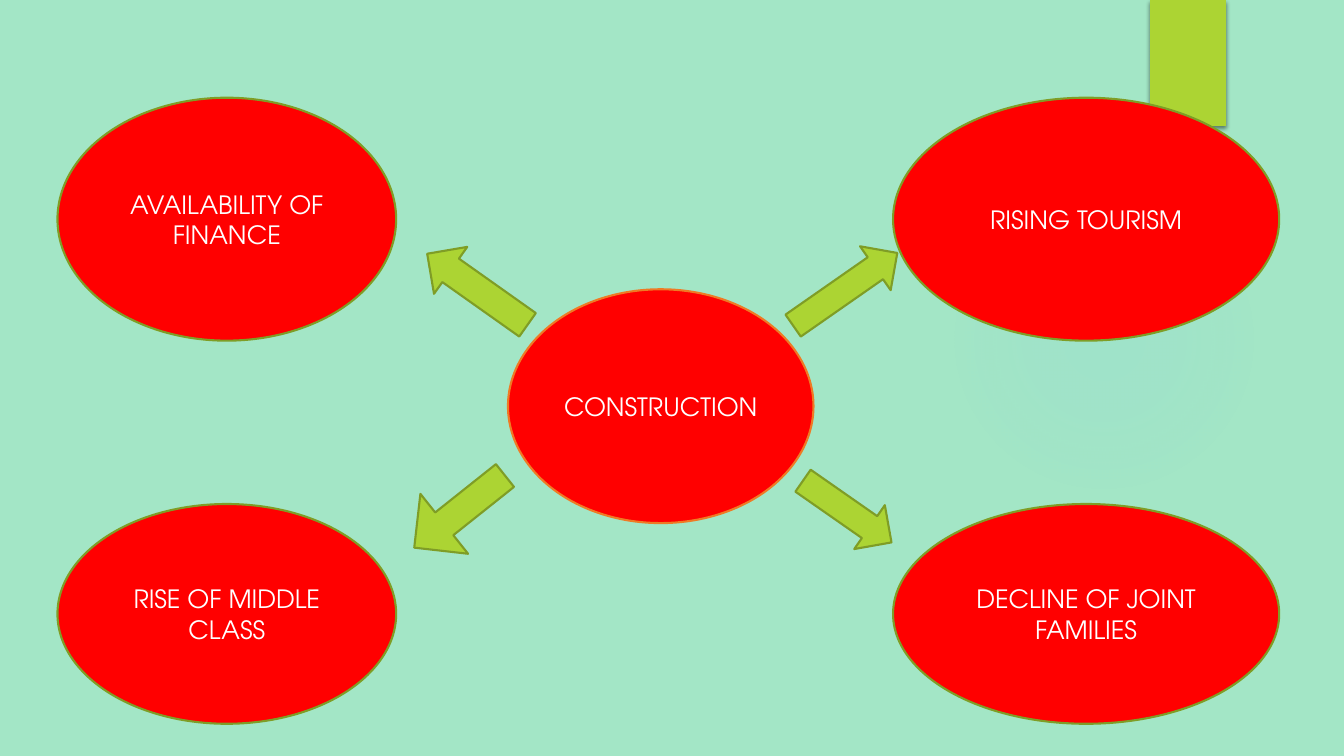
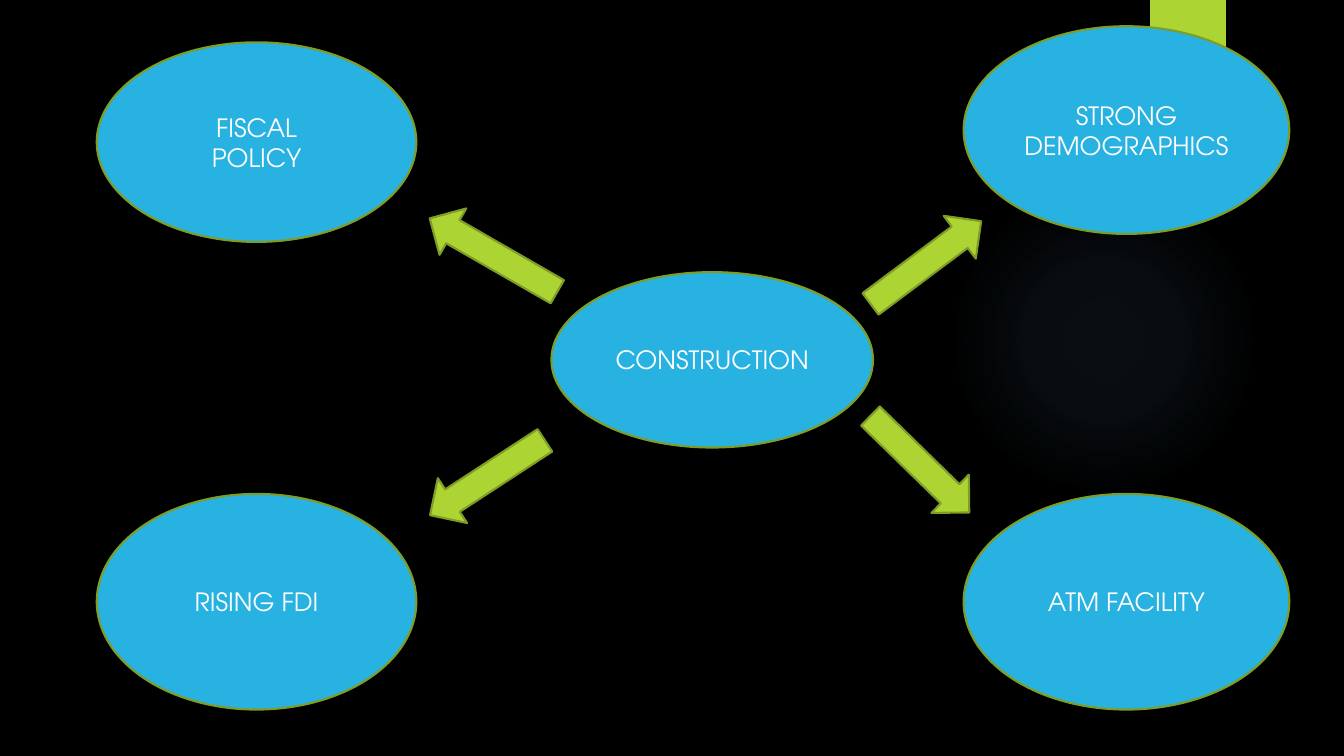
from dataclasses import dataclass

from lxml.etree import SubElement
from pptx import Presentation
from pptx.dml.color import RGBColor
from pptx.enum.shapes import MSO_SHAPE
from pptx.enum.text import MSO_ANCHOR, PP_ALIGN
from pptx.oxml import parse_xml
from pptx.oxml.ns import nsdecls, qn
from pptx.util import Inches, Pt

FONT = "TeX Gyre Adventor"
WHITE, LIME, OLIVE, ORANGE = "FFFFFF", "ACD433", "7F9D26", "EF7A24"
RED, BLUE, MINT, BLACK, HALO = "FF0000", "27B2E1", "A3E6C6", "000000", "7AC4F0"
COLUMN, ROW = Inches(13.333) / 100, Inches(7.5) / 100
GLOW_BOX = (70.58, 24.4, 23.1, 41.07)
RIBBON_BOX = (85.58, 0, 5.63, 16.67)


@dataclass
class Spoke:
    """An outer oval and the arrow from the hub to it, in grid columns and rows."""
    lines: tuple
    oval: tuple
    arrow: tuple
    turn: float
    neck: float = 0.5


def color(hex_text):
    """Turn a hex string into a colour."""
    return RGBColor.from_string(hex_text)


def add_part(page, kind, box, fill, outline=None):
    """Place a flat shape in a box of grid columns and rows."""
    left, top, width, height = box
    shape = page.shapes.add_shape(kind, round(left * COLUMN), round(top * ROW),
                                  round(width * COLUMN), round(height * ROW))
    shape.shadow.inherit = False
    shape.fill.solid()
    shape.fill.fore_color.rgb = color(fill)
    if outline:
        shape.line.color.rgb = color(outline)
        shape.line.width = Pt(1.5)
    else:
        shape.line.fill.background()
    return shape


def add_glow(page, box):
    """Place the faint round halo."""
    glow = add_part(page, MSO_SHAPE.OVAL, box, HALO)
    stops = "".join(
        f'<a:gs pos="{place * 1000}"><a:srgbClr val="{HALO}">'
        f'<a:alpha val="{alpha * 1000}"/></a:srgbClr></a:gs>'
        for place, alpha in ((0, 7), (36, 6), (69, 0), (100, 0)))
    gradient = parse_xml(
        f'<a:gradFill {nsdecls("a")} rotWithShape="1"><a:gsLst>{stops}</a:gsLst>'
        '<a:path path="circle"><a:fillToRect l="50000" t="50000" r="50000" b="50000"/>'
        '</a:path></a:gradFill>')
    properties = glow.element.spPr
    properties.replace(properties.find(qn("a:solidFill")), gradient)


def add_ribbon(page, box):
    """Place the hanging ribbon with its soft shadow."""
    ribbon = add_part(page, MSO_SHAPE.RECTANGLE, box, LIME)
    effects = ribbon.element.spPr.find(qn("a:effectLst"))
    shadow = SubElement(effects, qn("a:outerShdw"), blurRad=str(Pt(3)),
                        dist=str(Pt(2)), dir="5400000", rotWithShape="0")
    tint = SubElement(shadow, qn("a:srgbClr"), val=BLACK)
    SubElement(tint, qn("a:alpha"), val="45000")


def add_oval(page, box, lines, fill, outline=OLIVE):
    """Place an oval with centred text, one paragraph for each line."""
    frame = add_part(page, MSO_SHAPE.OVAL, box, fill, outline).text_frame
    frame.word_wrap = True
    frame.vertical_anchor = MSO_ANCHOR.MIDDLE
    for index, line in enumerate(lines):
        para = frame.add_paragraph() if index else frame.paragraphs[0]
        para.alignment = PP_ALIGN.CENTER
        span = para.add_run()
        span.text = line
        span.font.name = FONT
        span.font.size = Pt(18)
        span.font.color.rgb = color(WHITE)


def add_arrow(page, spoke):
    """Place a block arrow turned towards its oval."""
    arrow = add_part(page, MSO_SHAPE.UP_ARROW, spoke.arrow, LIME, OLIVE)
    arrow.rotation = spoke.turn
    arrow.adjustments[0] = spoke.neck


def add_hub_page(deck, background, fill, hub_box, spokes, hub_outline=OLIVE):
    """Build a slide with a central oval and arrows to the ovals around it."""
    page = deck.slides.add_slide(deck.slide_layouts[6])
    page.background.fill.solid()
    page.background.fill.fore_color.rgb = color(background)
    add_glow(page, GLOW_BOX)
    add_ribbon(page, RIBBON_BOX)
    add_oval(page, hub_box, ("CONSTRUCTION",), fill, hub_outline)
    for spoke in spokes:
        add_oval(page, spoke.oval, spoke.lines, fill)
        add_arrow(page, spoke)


def main():
    """Build and save the deck."""
    deck = Presentation()
    deck.slide_width, deck.slide_height = Inches(13.333), Inches(7.5)
    add_hub_page(deck, MINT, RED, (37.8, 38.27, 22.73, 30.93), (
        Spoke(("AVAILABILITY OF FINANCE",), (4.28, 12.93, 25.2, 32.13),
              (33.38, 30.13, 4.28, 16.27), 305.3),
        Spoke(("RISING TOURISM",), (66.45, 12.93, 28.73, 32.13),
              (60.9, 29.87, 3.98, 16.8), 55.1),
        Spoke(("RISE OF MIDDLE CLASS",), (4.28, 66.67, 25.2, 29.07),
              (31.35, 60, 5.7, 15.33), 231.5, 0.38),
        Spoke(("DECLINE OF JOINT FAMILIES",), (66.45, 66.67, 28.73, 29.07),
              (61.05, 60.53, 3.98, 14.27), 124.9),
    ), ORANGE)
    add_hub_page(deck, BLACK, BLUE, (41.03, 36, 23.93, 23.2), (
        Spoke(("FISCAL", "POLICY"), (7.2, 5.6, 23.78, 26.4),
              (34.73, 24, 3.98, 19.47), 299.9),
        Spoke(("STRONG DEMOGRAPHICS",), (71.7, 3.47, 24.23, 27.47),
              (66.9, 25.6, 3.98, 18.27), 53.2),
        Spoke(("RISING FDI",), (7.2, 65.33, 23.78, 28.53),
              (34.28, 54.13, 3.98, 18.13), 236.9),
        Spoke(("ATM FACILITY",), (71.7, 65.33, 24.23, 28.53),
              (66.45, 52.27, 3.98, 18.27), 134.3),
    ))
    deck.save("out.pptx")


if __name__ == "__main__":
    main()
